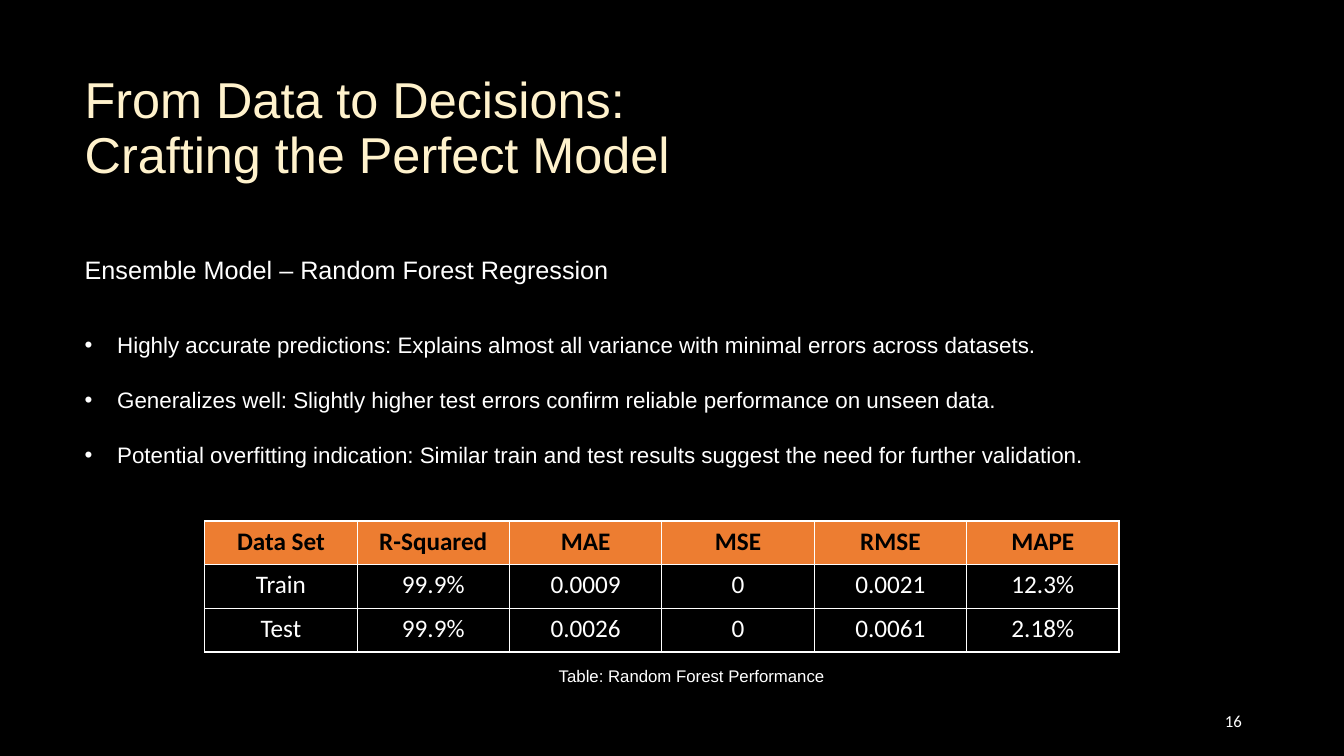
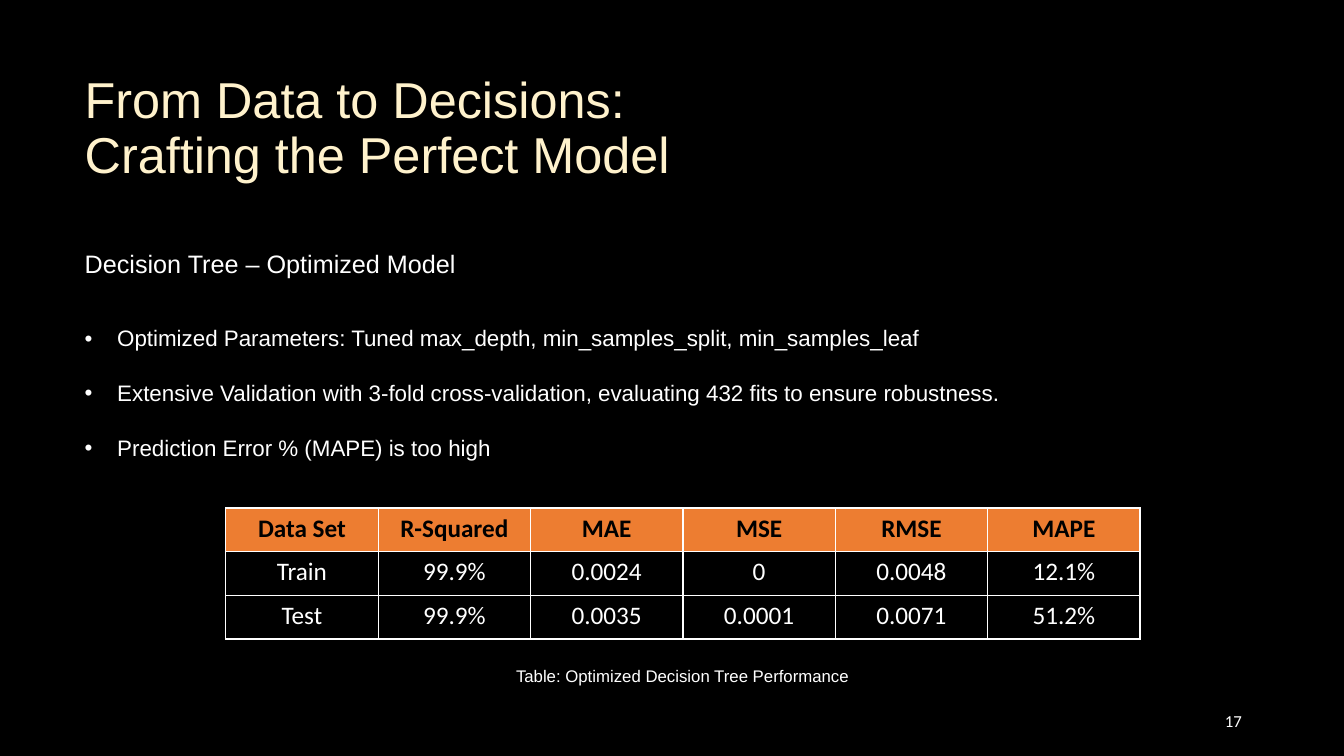
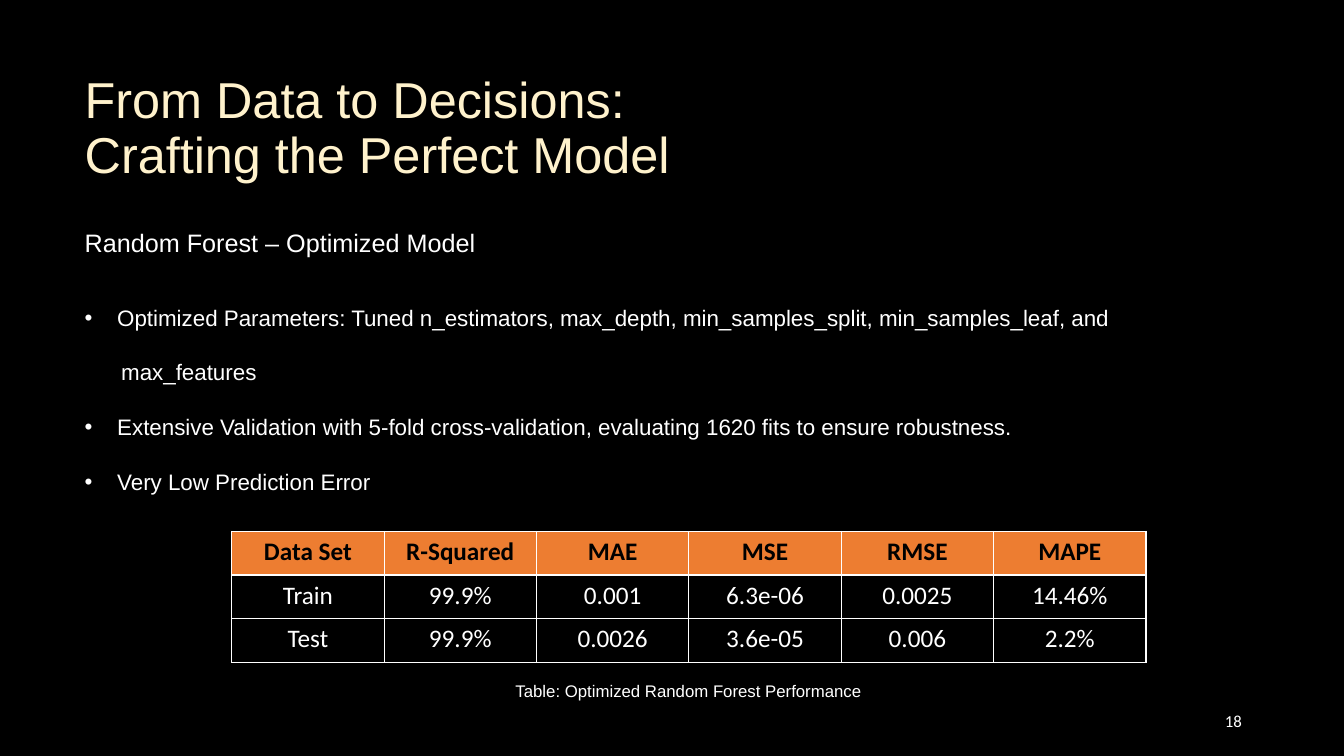
from lxml import etree
from pptx import Presentation
from pptx.dml.color import RGBColor
from pptx.enum.text import MSO_ANCHOR, MSO_AUTO_SIZE, PP_ALIGN
from pptx.oxml.ns import qn
from pptx.util import Cm, Pt

LEFT, CENTER, RIGHT = PP_ALIGN.LEFT, PP_ALIGN.CENTER, PP_ALIGN.RIGHT
TOP, MIDDLE, BOTTOM = MSO_ANCHOR.TOP, MSO_ANCHOR.MIDDLE, MSO_ANCHOR.BOTTOM
NO_AUTOFIT = MSO_AUTO_SIZE.NONE

BLACK = RGBColor(0x00, 0x00, 0x00)
WHITE = RGBColor(0xFF, 0xFF, 0xFF)
CREAM = RGBColor(0xFF, 0xF2, 0xCC)
ORANGE = RGBColor(0xED, 0x7D, 0x31)

TITLE = "From Data to Decisions: Crafting the Perfect Model"
HEADER = ["Data Set", "R-Squared", "MAE", "MSE", "RMSE", "MAPE"]
FIRST_NUMBER = 16

# Text, with a flag that tells whether the line has a bullet.
SLIDES = [
    {
        "heading": "Ensemble Model – Random Forest Regression",
        "points": [
            ("Highly accurate predictions: Explains almost all variance "
             "with minimal errors across datasets.", True),
            ("Generalizes well: Slightly higher test errors confirm "
             "reliable performance on unseen data.", True),
            ("Potential overfitting indication: Similar train and test "
             "results suggest the need for further validation.", True),
        ],
        "body_height": 7.98,
        "rows": [
            ["Train", "99.9%", "0.0009", "0", "0.0021", "12.3%"],
            ["Test", "99.9%", "0.0026", "0", "0.0061", "2.18%"],
        ],
        "table_at": (5.16, 13.13),
        "caption": "Table: Random Forest Performance",
        "caption_at": (11.76, 16.64),
    },
    {
        "heading": "Decision Tree – Optimized Model",
        "points": [
            ("Optimized Parameters: Tuned max_depth, min_samples_split, "
             "min_samples_leaf", True),
            ("Extensive Validation with 3-fold cross-validation, "
             "evaluating 432 fits to ensure robustness.", True),
            ("Prediction Error % (MAPE) is too high", True),
        ],
        "body_height": 7.65,
        "rows": [
            ["Train", "99.9%", "0.0024", "0", "0.0048", "12.1%"],
            ["Test", "99.9%", "0.0035", "0.0001", "0.0071", "51.2%"],
        ],
        "table_at": (5.69, 12.8),
        "caption": "Table: Optimized Decision Tree Performance",
        "caption_at": (11.53, 16.64),
    },
    {
        "heading": "Random Forest – Optimized Model",
        "points": [
            ("Optimized Parameters: Tuned n_estimators, max_depth, "
             "min_samples_split, min_samples_leaf, and", True),
            ("max_features", False),
            ("Extensive Validation with 5-fold cross-validation, "
             "evaluating 1620 fits to ensure robustness.", True),
            ("Very Low Prediction Error", True),
        ],
        "body_height": 7.98,
        "rows": [
            ["Train", "99.9%", "0.001", "6.3e-06", "0.0025", "14.46%"],
            ["Test", "99.9%", "0.0026", "3.6e-05", "0.006", "2.2%"],
        ],
        "table_at": (5.84, 13.39),
        "caption": "Table: Optimized Random Forest Performance",
        "caption_at": (11.68, 17.02),
    },
]

MARGIN = 1.88
COLUMN_WIDTH, ROW_HEIGHT = 3.84, 1.1
BULLET_INDENT, CONTINUATION_INDENT = Cm(0.82), Cm(0.92)
HEADING_GAP, POINT_GAP = Pt(35), Pt(22)


def place(shape, left, top, width, height, anchor):
    shape.left, shape.top = Cm(left), Cm(top)
    shape.width, shape.height = Cm(width), Cm(height)
    frame = shape.text_frame
    frame.word_wrap = True
    frame.auto_size = NO_AUTOFIT
    frame.vertical_anchor = anchor


def write(para, text, size, color, align=LEFT, face="Arial", bold=False):
    para.text = text
    para.alignment = align
    font = para.font
    font.name, font.size, font.bold = face, Pt(size), bold
    font.color.rgb = color


def set_bullet(para, margin=0, bulleted=False):
    """Hang a bullet at the margin, or set the paragraph without one."""
    properties = para._p.get_or_add_pPr()
    properties.set("marL", str(margin))
    properties.set("indent", str(-margin if bulleted else 0))
    if bulleted:
        etree.SubElement(properties, qn("a:buChar")).set("char", "•")
    else:
        etree.SubElement(properties, qn("a:buNone"))


def add_label(slide, text, at, size, anchor, align, face="Arial"):
    box = slide.shapes.add_textbox(0, 0, 0, 0)
    place(box, *at, *size, anchor)
    write(box.text_frame.paragraphs[0], text, 12, WHITE, align, face)


def fill_body(body, heading, points):
    frame = body.text_frame
    para = frame.paragraphs[0]
    set_bullet(para)
    write(para, heading, 18, WHITE)
    para.line_spacing = 0.9
    para.space_before = para.space_after = Pt(0)
    gap = HEADING_GAP
    for text, bulleted in points:
        para = frame.add_paragraph()
        set_bullet(para, BULLET_INDENT if bulleted else CONTINUATION_INDENT, bulleted)
        write(para, text, 16, WHITE)
        para.line_spacing = 0.9
        para.space_before, para.space_after = gap, Pt(0)
        gap = POINT_GAP


def add_borders(cell):
    properties = cell._tc.get_or_add_tcPr()
    for index, side in enumerate(("lnL", "lnR", "lnT", "lnB")):
        line = etree.Element(qn("a:" + side), w=str(Pt(1)))
        fill = etree.SubElement(line, qn("a:solidFill"))
        etree.SubElement(fill, qn("a:srgbClr")).set("val", str(WHITE))
        properties.insert(index, line)


def add_results(slide, rows, at):
    left, top = at
    grid = [HEADER] + rows
    table = slide.shapes.add_table(
        len(grid), len(HEADER), Cm(left), Cm(top),
        Cm(COLUMN_WIDTH * len(HEADER)), Cm(ROW_HEIGHT * len(grid))).table
    for row_index, values in enumerate(grid):
        is_header = row_index == 0
        for column_index, value in enumerate(values):
            cell = table.cell(row_index, column_index)
            cell.fill.solid()
            cell.fill.fore_color.rgb = ORANGE if is_header else BLACK
            add_borders(cell)
            write(cell.text_frame.paragraphs[0], value, 18,
                  BLACK if is_header else WHITE, CENTER, "Calibri", is_header)


def add_slide(deck, number, content):
    slide = deck.slides.add_slide(deck.slide_layouts[1])
    title, body = slide.placeholders

    place(title, MARGIN, 1.65, 17.48, 3.12, BOTTOM)
    para = title.text_frame.paragraphs[0]
    write(para, TITLE, 36, CREAM)
    para.line_spacing = 0.9

    place(body, MARGIN, 5.16, 27.51, content["body_height"], MIDDLE)
    fill_body(body, content["heading"], content["points"])
    add_results(slide, content["rows"], content["table_at"])
    add_label(slide, str(number), (23.93, 17.65), (7.62, 1.02), MIDDLE, RIGHT, "Calibri")
    add_label(slide, content["caption"], content["caption_at"], (11.35, 0.76), TOP, CENTER)


def main():
    deck = Presentation()
    deck.slide_width, deck.slide_height = Cm(33.87), Cm(19.05)
    background = deck.slide_master.background.fill
    background.solid()
    background.fore_color.rgb = BLACK
    for number, content in enumerate(SLIDES, FIRST_NUMBER):
        add_slide(deck, number, content)
    deck.save("out.pptx")


if __name__ == "__main__":
    main()
